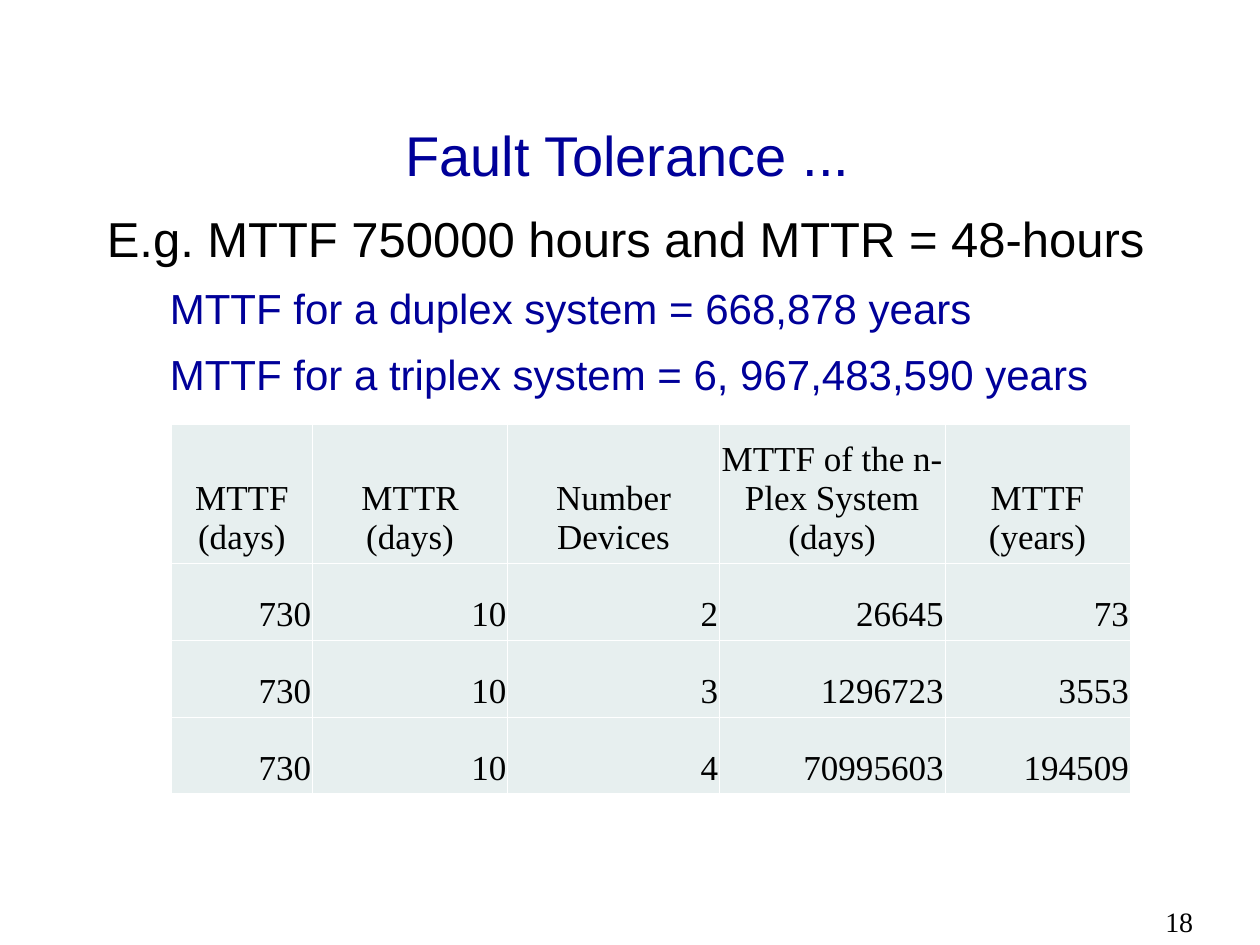
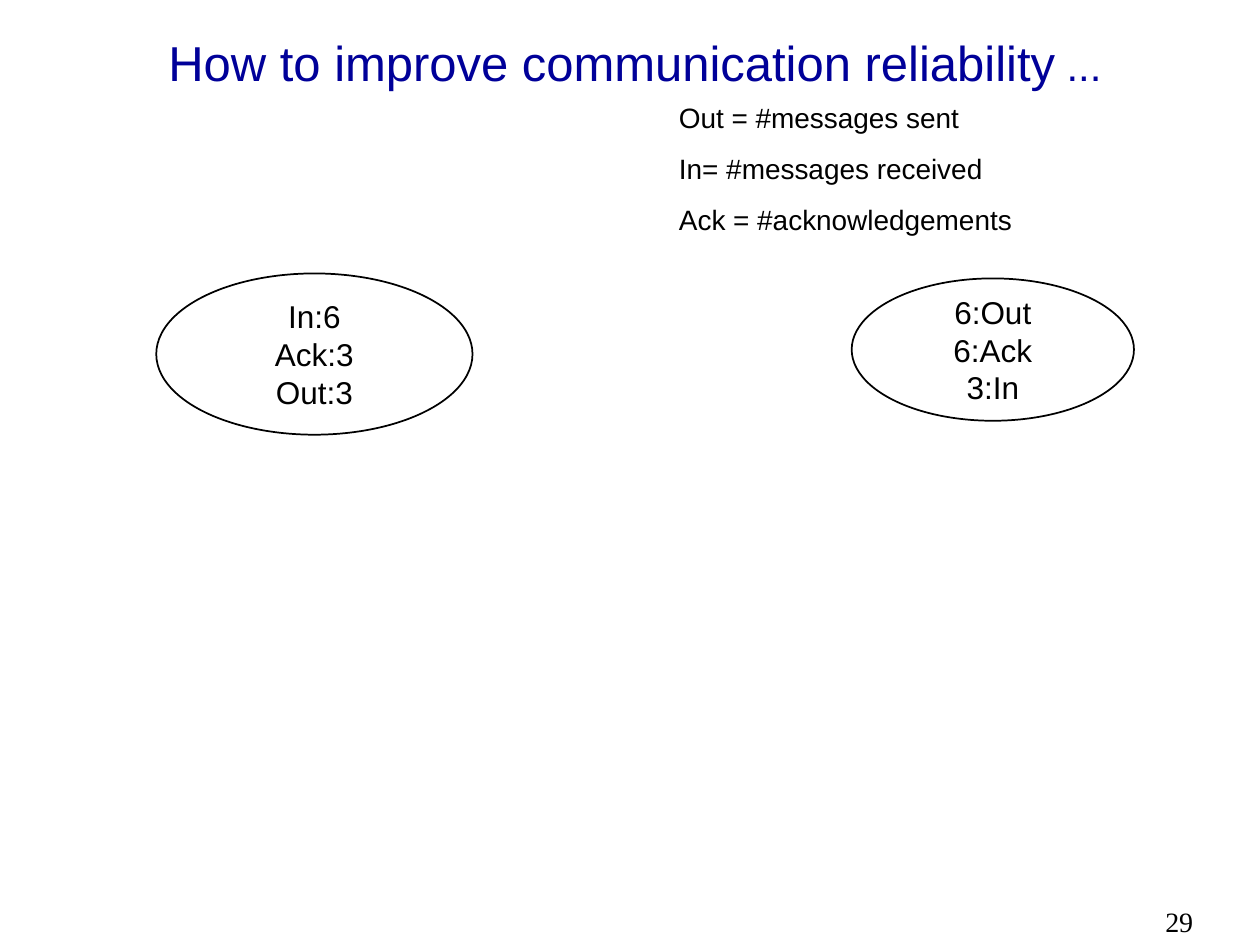
from dataclasses import dataclass

from lxml import etree
from pptx import Presentation
from pptx.dml.color import RGBColor
from pptx.enum import shapes, text
from pptx.oxml import ns
from pptx.util import Emu, Inches, Pt

COLORS = {"ink": "000000", "navy": "000099", "paper": "FFFFFF", "cell": "E7EFEF"}
SANS, SERIF = "Arial", "Times New Roman"
LEFT, CENTER, RIGHT = text.PP_ALIGN.LEFT, text.PP_ALIGN.CENTER, text.PP_ALIGN.RIGHT

# The slide is a grid of 100 columns by 75 rows
COLUMNS, ROWS = 100, 75
WIDTH, HEIGHT = Inches(10), Inches(7.5)


def columns(count: float) -> Emu:
    return Emu(round(WIDTH * count / COLUMNS))


def rows(count: float) -> Emu:
    return Emu(round(HEIGHT * count / ROWS))


@dataclass(frozen=True)
class Box:
    """A place on the grid, in columns and rows."""
    left: float
    top: float
    width: float
    height: float

    def place(self) -> tuple[Emu, Emu, Emu, Emu]:
        return columns(self.left), rows(self.top), columns(self.width), rows(self.height)


@dataclass(frozen=True)
class Node:
    """A communicating party with its message counters."""
    box: Box
    counters: tuple[str, ...]


NUMBER_BOX = Box(91.5, 71.3, 8.5, 3.7)
NODES = (
    Node(Box(67.6, 22.1, 22.4, 11.3), ("6:Out", "6:Ack", "3:In")),
    Node(Box(12.4, 21.7, 25.1, 12.8), ("In:6", "Ack:3", "Out:3")),
)
DEFINITIONS = ("Out = #messages sent", "In= #messages received", "Ack = #acknowledgements")

TABLE_BOX = Box(13.6, 33.7, 76.1, 28.7)
TABLE_COLUMNS = (11.2, 15.5, 16.8, 17.9, 14.7)
TABLE_ROWS = (10.4, 6.1, 6.1, 6.1)
TABLE_HEADER = ("MTTF (days)", "MTTR\v(days)", "Number Devices",
                "MTTF of the n-Plex System (days)", "MTTF (years)")
TABLE_VALUES = (
    (730, 10, 2, 26645, 73),
    (730, 10, 3, 1296723, 3553),
    (730, 10, 4, 70995603, 194509),
)


def rgb(name: str) -> RGBColor:
    return RGBColor.from_string(COLORS[name])


# Text
def style_run(run, size: float, font: str, color: str) -> None:
    run.font.size, run.font.name, run.font.bold = Pt(size), font, False
    run.font.color.rgb = rgb(color)


def write(frame, content: str, *, size: float, font: str = SANS, color: str = "ink",
          align=LEFT, spacing: float | None = None, before: float = 0,
          margin: float = 0, hanging: float = 0):
    """Add a paragraph, using the empty first one if it is still free."""
    first = frame.paragraphs[0]
    is_first = not first.runs
    paragraph = first if is_first else frame.add_paragraph()
    paragraph.text = content
    paragraph.alignment = align
    paragraph.space_before = Pt(0 if is_first else before)
    if spacing:
        paragraph.line_spacing = spacing
    if margin:
        properties = paragraph._p.get_or_add_pPr()
        properties.set("marL", str(columns(margin)))
        properties.set("indent", str(-columns(hanging)))
    for run in paragraph.runs:
        style_run(run, size, font, color)
    return paragraph


def add_text_box(slide, box: Box, anchor=text.MSO_ANCHOR.TOP):
    frame = slide.shapes.add_textbox(*box.place()).text_frame
    frame.word_wrap = True
    frame.vertical_anchor = anchor
    return frame


# Parts shared by the slides
def add_slide(presentation, number: int):
    slide = presentation.slides.add_slide(presentation.slide_layouts[6])
    slide.background.fill.solid()
    slide.background.fill.fore_color.rgb = rgb("paper")
    write(add_text_box(slide, NUMBER_BOX), str(number), size=16, font=SERIF,
          margin=3.8, hanging=3.8)
    return slide


def add_title(slide, left: float, top: float, content: str, size: float,
              spacing: float | None = None):
    frame = add_text_box(slide, Box(left, top, 85, 6.9), text.MSO_ANCHOR.MIDDLE)
    return write(frame, content, size=size, color="navy", align=CENTER, spacing=spacing)


# Table
def draw_borders(cell) -> None:
    properties = cell._tc.get_or_add_tcPr()
    for side in ("a:lnL", "a:lnR", "a:lnT", "a:lnB"):
        line = etree.SubElement(properties, ns.qn(side), w=str(Pt(0.45)))
        fill = etree.SubElement(line, ns.qn("a:solidFill"))
        etree.SubElement(fill, ns.qn("a:srgbClr"), val=COLORS["paper"])


def add_cell(cell, content: str, align) -> None:
    draw_borders(cell)
    cell.fill.solid()
    cell.fill.fore_color.rgb = rgb("cell")
    cell.margin_left = cell.margin_right = columns(0.1)
    cell.margin_top = cell.margin_bottom = rows(0.5)
    cell.vertical_anchor = text.MSO_ANCHOR.BOTTOM
    write(cell.text_frame, content, size=20, font=SERIF, align=align)


def add_mttf_table(slide) -> None:
    table = slide.shapes.add_table(len(TABLE_ROWS), len(TABLE_COLUMNS),
                                   *TABLE_BOX.place()).table
    table.first_row = table.horz_banding = False
    for column, width in zip(table.columns, TABLE_COLUMNS):
        column.width = columns(width)
    for row, height in zip(table.rows, TABLE_ROWS):
        row.height = rows(height)
    for row, values in enumerate((TABLE_HEADER, *TABLE_VALUES)):
        for column, value in enumerate(values):
            add_cell(table.cell(row, column), str(value), RIGHT if row else CENTER)


# Message counters
def add_node(slide, node: Node) -> None:
    shape = slide.shapes.add_shape(shapes.MSO_SHAPE.OVAL, *node.box.place())
    shape.shadow.inherit = False
    shape.fill.solid()
    shape.fill.fore_color.rgb = rgb("paper")
    shape.line.color.rgb = rgb("ink")
    shape.line.width = Pt(1)
    shape.text_frame.word_wrap = False
    shape.text_frame.vertical_anchor = text.MSO_ANCHOR.MIDDLE
    for counter in node.counters:
        write(shape.text_frame, counter, size=18, align=CENTER)


# Slides
def build_fault_tolerance(presentation) -> None:
    slide = add_slide(presentation, 18)
    add_title(slide, 6.7, 8.8, " Fault Tolerance ...", 32)
    body = add_text_box(slide, Box(7.5, 15.6, 85, 28.7))
    write(body, "E.g. MTTF 750000 hours and MTTR = 48-hours", size=28, spacing=1.1,
          margin=3.8, hanging=3.8)
    for result in ("MTTF for a duplex system = 668,878 years",
                   "MTTF for a triplex system = 6, 967,483,590 years"):
        write(body, result, size=24, color="navy", spacing=1.1, before=6,
              margin=8.1, hanging=3.1)
    add_mttf_table(slide)


def build_reliability(presentation) -> None:
    slide = add_slide(presentation, 29)
    title = add_title(slide, 7.9, 1.9, "How to improve communication reliability", 28, 0.8)
    ellipsis = title.add_run()
    ellipsis.text = " ..."
    style_run(ellipsis, 24, SANS, "navy")
    for node in NODES:
        add_node(slide, node)
    legend = add_text_box(slide, Box(52.9, 7.5, 36.2, 11.8))
    for definition in DEFINITIONS:
        write(legend, definition, size=16, before=10, margin=5, hanging=5)


def main() -> None:
    presentation = Presentation()
    presentation.slide_width, presentation.slide_height = WIDTH, HEIGHT
    build_fault_tolerance(presentation)
    build_reliability(presentation)
    presentation.save("out.pptx")


if __name__ == "__main__":
    main()
